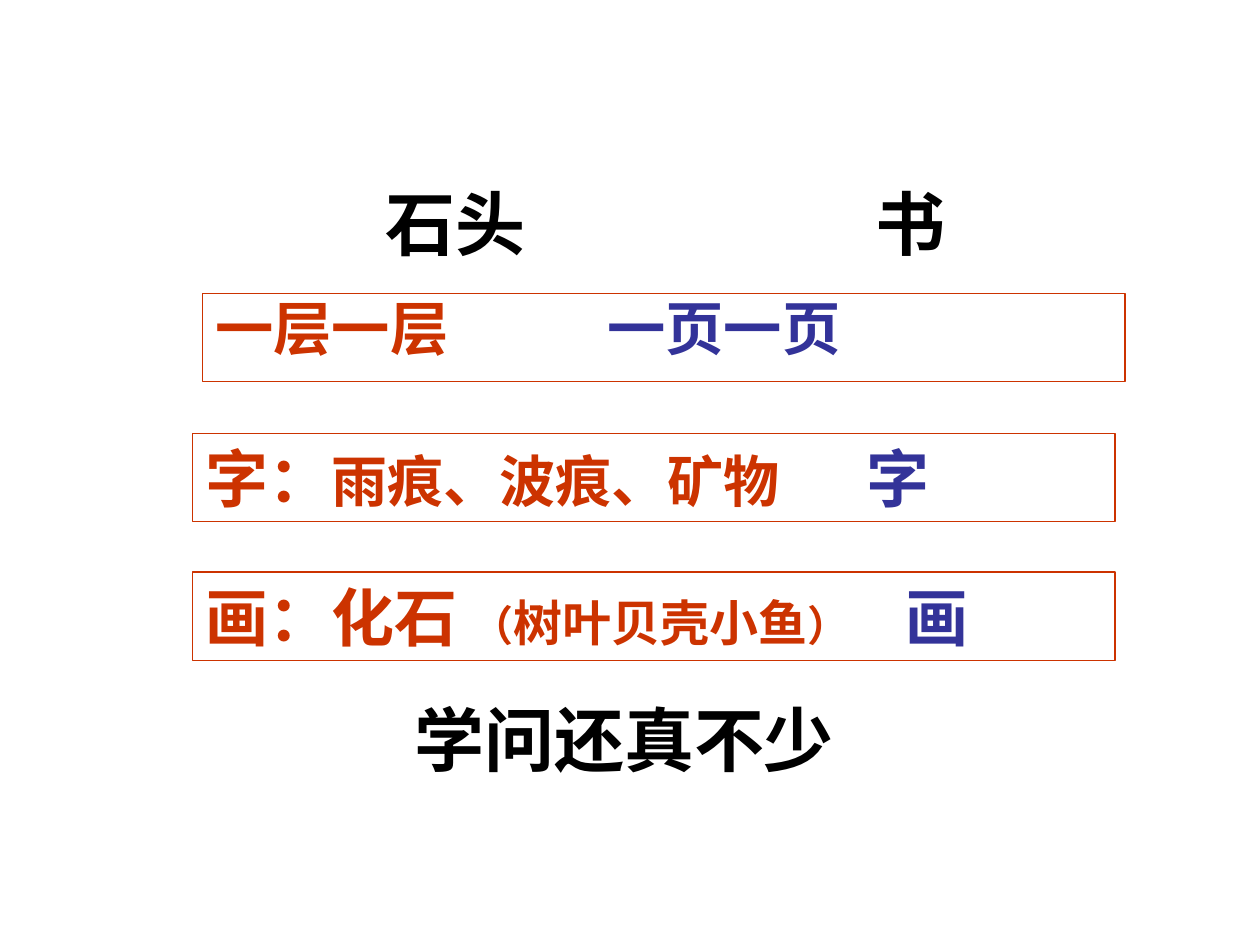
from dataclasses import dataclass

from pptx import Presentation
from pptx.dml.color import RGBColor
from pptx.enum.shapes import MSO_SHAPE
from pptx.enum.text import MSO_ANCHOR, PP_ALIGN
from pptx.oxml.ns import qn
from pptx.util import Inches, Pt


@dataclass(frozen=True)
class Theme:
    font: str = "Noto Sans CJK SC"
    black: RGBColor = RGBColor(0, 0, 0)
    stone: RGBColor = RGBColor(0xCC, 0x33, 0x00)
    book: RGBColor = RGBColor(0x33, 0x33, 0x99)
    heading: float = 40
    large: float = 36
    layer: float = 33.3
    medium: float = 32
    small: float = 28
    bracket: float = 24


theme = Theme()


def set_tab(paragraph, position):
    tabs = paragraph._p.get_or_add_pPr().makeelement(qn("a:tabLst"), {})
    tabs.append(tabs.makeelement(qn("a:tab"), {"pos": str(Inches(position)), "algn": "l"}))
    paragraph._p.get_or_add_pPr().append(tabs)


def write(paragraph, parts):
    for text, size, color in parts:
        run = paragraph.add_run()
        run.text = text
        run.font.size = Pt(size)
        run.font.bold = True
        run.font.color.rgb = color
        run.font.name = theme.font
        east_asian = run._r.rPr.makeelement(qn("a:ea"), {"typeface": theme.font})
        run._r.rPr.find(qn("a:latin")).addnext(east_asian)


prs = Presentation()
prs.slide_width, prs.slide_height = Inches(10), Inches(7.5)
slide = prs.slides.add_slide(prs.slide_layouts[5])

# Column headings: stone and book
headings = slide.shapes.title
headings.left, headings.top = Inches(1.06), Inches(1.86)
headings.width, headings.height = Inches(8.47), Inches(0.47)
headings.text_frame.vertical_anchor = MSO_ANCHOR.BOTTOM
headings.text_frame.margin_left = Inches(2)
headings.text_frame.margin_bottom = Inches(0.23)
heading_line = headings.text_frame.paragraphs[0]
heading_line.alignment = PP_ALIGN.LEFT
set_tab(heading_line, 3.89)
write(heading_line, [("石头\t书", theme.heading, theme.black)])

# Framed comparisons: left, top, tab position, line spacing, text parts
comparisons = [
    (1.61, 2.33, 3.11, 0.9, [
        ("一层一层\t", theme.layer, theme.stone),
        ("一页一页", theme.layer, theme.book),
    ]),
    (1.53, 3.44, 5.25, 1, [
        ("字：", theme.large, theme.stone),
        ("雨痕、波痕、矿物\t", theme.medium, theme.stone),
        ("字", theme.large, theme.book),
    ]),
    (1.53, 4.54, 5.56, 1, [
        ("画：化石 ", theme.large, theme.stone),
        ("（", theme.bracket, theme.stone),
        ("树叶贝壳小鱼", theme.small, theme.stone),
        ("）\t", theme.bracket, theme.stone),
        ("画", theme.large, theme.book),
    ]),
]
for left, top, tab, spacing, parts in comparisons:
    frame = slide.shapes.add_shape(
        MSO_SHAPE.RECTANGLE, Inches(left), Inches(top), Inches(7.32), Inches(0.7))
    frame.shadow.inherit = False
    frame.fill.background()
    frame.line.color.rgb = theme.stone
    frame.line.width = Pt(0.75)
    frame.text_frame.word_wrap = True
    frame.text_frame.vertical_anchor = MSO_ANCHOR.TOP
    comparison = frame.text_frame.paragraphs[0]
    comparison.alignment = PP_ALIGN.LEFT
    comparison.line_spacing = spacing
    set_tab(comparison, tab)
    write(comparison, parts)

# Conclusion
conclusion = slide.shapes.add_textbox(Inches(3.19), Inches(5.48), Inches(3.62), Inches(1.44))
conclusion.text_frame.word_wrap = True
write(conclusion.text_frame.paragraphs[0], [("学问还真不少", theme.heading, theme.black)])

prs.save("out.pptx")
